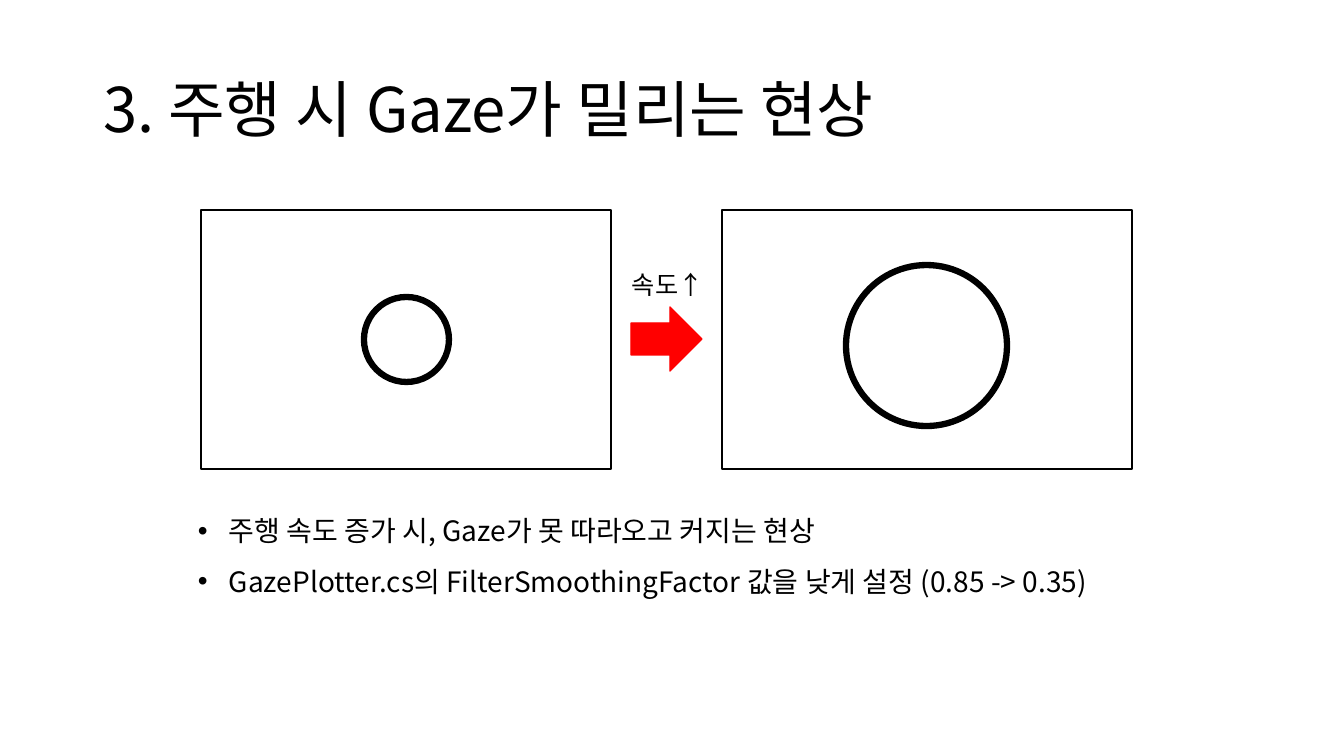
"""Build the slide about gaze lag while driving."""
from dataclasses import dataclass
from typing import Optional

import pptx
import pptx.dml.color
import pptx.enum.shapes
import pptx.enum.text
import pptx.oxml
import pptx.oxml.ns
import pptx.util

EMU_PER_PIXEL = 914400 / 100.8
FONT = "Noto Sans CJK KR"
COLOURS = {"ink": "000000", "arrow": "FF0000"}
KINDS = pptx.enum.shapes.MSO_SHAPE


@dataclass(frozen=True)
class Figure:
    """A preset shape of the diagram, measured in pixels."""

    kind: pptx.enum.shapes.MSO_SHAPE
    left: int
    top: int
    width: int
    height: int
    weight: float
    line: str = "ink"
    fill: Optional[str] = None


@dataclass(frozen=True)
class Caption:
    """A text box with one string per paragraph, measured in pixels."""

    lines: tuple[str, ...]
    left: int
    top: int
    width: int
    height: int
    size: int
    spacing: float = 1.0
    bulleted: bool = False


FIGURES = (
    Figure(KINDS.OVAL, 364, 297, 85, 85, 4.5),
    Figure(KINDS.RECTANGLE, 201, 210, 410, 259, 1),
    Figure(KINDS.RECTANGLE, 722, 210, 410, 259, 1),
    Figure(KINDS.RIGHT_ARROW, 631, 307, 71, 64, 1, "arrow", "arrow"),
    Figure(KINDS.OVAL, 846, 265, 161, 161, 4.5),
)
CAPTIONS = (
    Caption(
        (
            "주행 속도 증가 시, Gaze가 못 따라오고 커지는 현상",
            "GazePlotter.cs의 FilterSmoothingFactor 값을 낮게 설정 (0.85 -> 0.35)",
        ),
        188, 492, 1038, 106, 20, 1.5, True,
    ),
    Caption(("속도↑",), 622, 264, 99, 40, 18),
)


def pixels(count: float) -> pptx.util.Emu:
    """Turn pixels into EMU."""
    return pptx.util.Emu(round(count * EMU_PER_PIXEL))


def colour(name: str) -> pptx.dml.color.RGBColor:
    """Look up a named colour."""
    return pptx.dml.color.RGBColor.from_string(COLOURS[name])


def format_text(frame, size: int, spacing: float) -> None:
    """Give every run of a text frame the slide's font."""
    for para in frame.paragraphs:
        para.line_spacing = spacing
        for span in para.runs:
            span.font.name = FONT
            span.font.size = pptx.util.Pt(size)
            span.font.color.rgb = colour("ink")
            asian = pptx.oxml.parse_xml(
                f'<a:ea {pptx.oxml.ns.nsdecls("a")} typeface="{FONT}"/>'
            )
            span.font._element.find(pptx.oxml.ns.qn("a:latin")).addnext(asian)


def add_bullet(para) -> None:
    """Put a hanging bullet before a paragraph."""
    properties = para._p.get_or_add_pPr()
    indent = pixels(31)
    properties.set("marL", str(indent))
    properties.set("indent", str(-indent))
    for element in ('<a:buFont {} typeface="Arial"/>', '<a:buChar {} char="•"/>'):
        properties.append(
            pptx.oxml.parse_xml(element.format(pptx.oxml.ns.nsdecls("a")))
        )


def add_title(page, text: str) -> None:
    """Place and format the title."""
    title = page.shapes.title
    title.left, title.top = pixels(93), pixels(40)
    title.width, title.height = pixels(1159), pixels(146)
    frame = title.text_frame
    frame.text = text
    frame.vertical_anchor = pptx.enum.text.MSO_ANCHOR.MIDDLE
    frame.paragraphs[0].alignment = pptx.enum.text.PP_ALIGN.LEFT
    format_text(frame, 44, 0.9)


def add_figure(page, figure: Figure) -> None:
    """Draw one preset shape."""
    shape = page.shapes.add_shape(
        figure.kind, pixels(figure.left), pixels(figure.top),
        pixels(figure.width), pixels(figure.height),
    )
    shape.shadow.inherit = False
    shape.line.color.rgb = colour(figure.line)
    shape.line.width = pptx.util.Pt(figure.weight)
    if figure.fill:
        shape.fill.solid()
        shape.fill.fore_color.rgb = colour(figure.fill)
    else:
        shape.fill.background()


def add_caption(page, caption: Caption) -> None:
    """Write one text box."""
    box = page.shapes.add_textbox(
        pixels(caption.left), pixels(caption.top),
        pixels(caption.width), pixels(caption.height),
    )
    frame = box.text_frame
    frame.word_wrap = True
    frame.auto_size = pptx.enum.text.MSO_AUTO_SIZE.SHAPE_TO_FIT_TEXT
    frame.text = "\n".join(caption.lines)
    format_text(frame, caption.size, caption.spacing)
    if caption.bulleted:
        for para in frame.paragraphs:
            add_bullet(para)


def main() -> None:
    """Build and save the deck."""
    deck = pptx.Presentation()
    deck.slide_width, deck.slide_height = pixels(1344), pixels(756)
    page = deck.slides.add_slide(deck.slide_layouts.get_by_name("Title Only"))
    add_title(page, "3. 주행 시 Gaze가 밀리는 현상")
    for figure in FIGURES:
        add_figure(page, figure)
    for caption in CAPTIONS:
        add_caption(page, caption)
    deck.save("out.pptx")


main()
